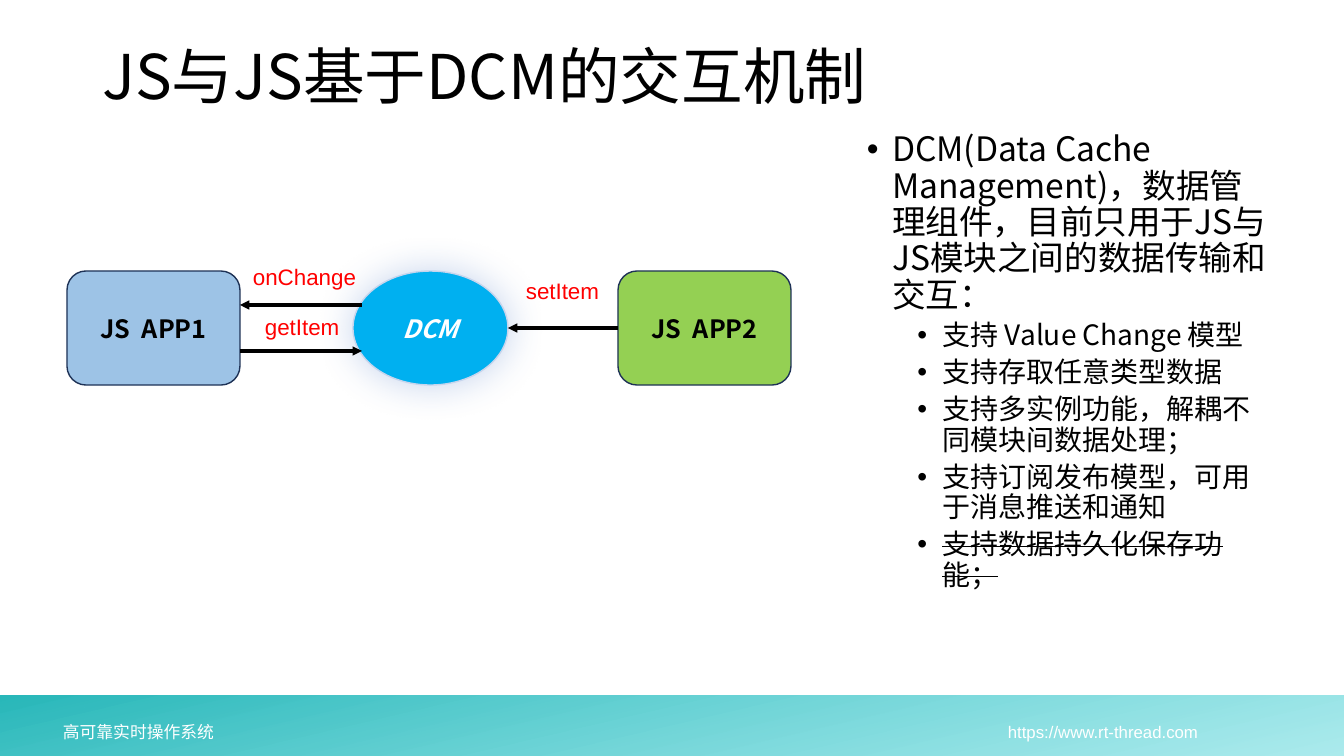
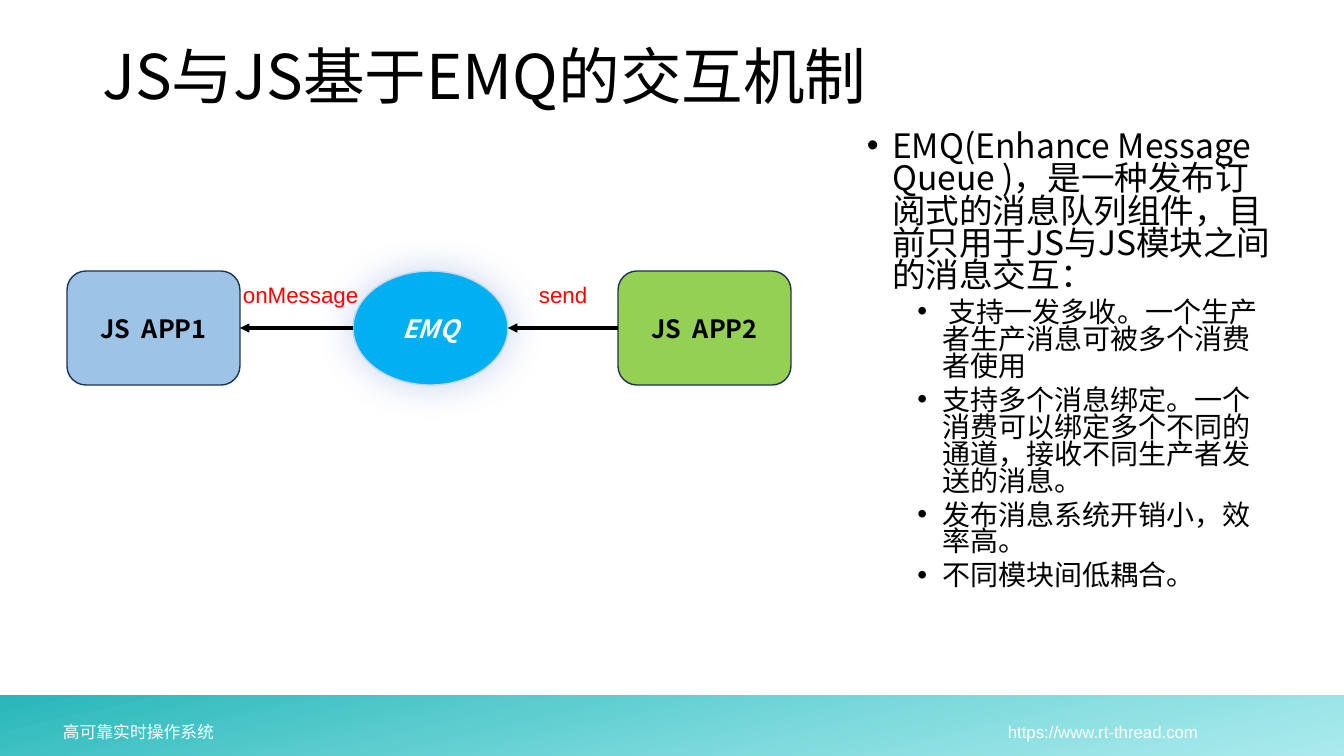
from lxml.etree import SubElement
from pptx import Presentation
from pptx.dml.color import RGBColor
from pptx.enum.shapes import MSO_CONNECTOR, MSO_SHAPE
from pptx.enum.text import MSO_ANCHOR, MSO_AUTO_SIZE, PP_ALIGN
from pptx.oxml.ns import qn
from pptx.util import Emu, Pt

CJK = "Noto Sans CJK SC"
LATIN = "Arial"
BLACK, WHITE, RED = "000000", "FFFFFF", "FF0000"
NAVY, PALE_BLUE = "1E3256", "C7D5ED"
NODE_TOP, NODE_HEIGHT = 271, 114
MIDDLE = NODE_TOP + NODE_HEIGHT // 2
APP1_RIGHT, BROKER_LEFT, BROKER_RIGHT, APP2_LEFT = 240, 353, 508, 618
color = RGBColor.from_string


def px(length):
    return Emu(round(length * 914400 / 100.8))


def write(paragraph, text, size, font=CJK, ink=BLACK, bold=False, italic=False,
          strike=False, align=PP_ALIGN.LEFT, line_spacing=None, before=0, after=0):
    paragraph.alignment = align
    paragraph.line_spacing = line_spacing
    paragraph.space_before = Pt(before)
    paragraph.space_after = Pt(after)
    run = paragraph.add_run()
    run.text = text
    run.font.size = Pt(size)
    run.font.name = font
    run.font.bold = bold
    run.font.italic = italic
    run.font.color.rgb = color(ink)
    properties = run._r.get_or_add_rPr()
    SubElement(properties, qn("a:ea"), typeface=CJK)
    if strike:
        properties.set("strike", "sngStrike")


# Nodes: shape, left, width, fill, line, ink
NODES = {
    "broker": (MSO_SHAPE.OVAL, BROKER_LEFT, 155, "00B0F0", PALE_BLUE, WHITE),
    "JS  APP1": (MSO_SHAPE.ROUNDED_RECTANGLE, 67, 173, "9DC3E6", NAVY, BLACK),
    "JS  APP2": (MSO_SHAPE.ROUNDED_RECTANGLE, APP2_LEFT, 173, "92D050", NAVY, BLACK),
}
FOOTERS = [("高可靠实时操作系统", 53), ("https://www.rt-thread.com", 998)]

# Arrows: start x, end x, y; labels: text, left, top
SLIDES = [
    {
        "broker": "DCM",
        "spacing": 0.9,
        "intro": "DCM(Data Cache Management)，数据管理组件，目前只用于JS与JS模块之间的数据传输和交互：",
        "points": [
            "支持 Value Change 模型",
            "支持存取任意类型数据",
            "支持多实例功能，解耦不同模块间数据处理；",
            "支持订阅发布模型，可用于消息推送和通知",
            "支持数据持久化保存功能；",
        ],
        "struck": ["支持数据持久化保存功能；"],
        "arrows": [(362, APP1_RIGHT, 305), (APP2_LEFT, BROKER_RIGHT, MIDDLE),
                   (APP1_RIGHT, 362, 351)],
        "labels": [("setItem", 516, 272), ("onChange", 243, 258), ("getItem", 255, 308)],
    },
    {
        "broker": "EMQ",
        "spacing": 0.8,
        "intro": "EMQ(Enhance Message Queue )，是一种发布订阅式的消息队列组件，目前只用于JS与JS模块之间的消息交互：",
        "points": [
            " 支持一发多收。一个生产者生产消息可被多个消费者使用",
            "支持多个消息绑定。一个消费可以绑定多个不同的通道，接收不同生产者发送的消息。",
            "发布消息系统开销小，效率高。",
            "不同模块间低耦合。",
        ],
        "struck": [],
        "arrows": [(BROKER_LEFT, APP1_RIGHT, MIDDLE), (APP2_LEFT, BROKER_RIGHT, MIDDLE)],
        "labels": [("send", 529, 276), ("onMessage", 233, 276)],
    },
]

presentation = Presentation()
presentation.slide_width, presentation.slide_height = px(1344), px(756)
title_only = presentation.slide_layouts[5]

for content in SLIDES:
    slide = presentation.slides.add_slide(title_only)
    shapes = slide.shapes

    # Title
    title = shapes.title
    title.left, title.top, title.width, title.height = px(92), px(40), px(1159), px(80)
    title.text_frame.auto_size = MSO_AUTO_SIZE.NONE
    title.text_frame.vertical_anchor = MSO_ANCHOR.MIDDLE
    write(title.text_frame.paragraphs[0], f"JS与JS基于{content['broker']}的交互机制",
          44, line_spacing=0.9)

    # Bulleted description
    body = shapes.add_textbox(px(857), px(128), px(427), px(497)).text_frame
    body.word_wrap = True
    for index, text in enumerate([content["intro"], *content["points"]]):
        paragraph = body.add_paragraph() if index else body.paragraphs[0]
        paragraph.level = 1 if index else 0
        properties = paragraph._p.get_or_add_pPr()
        properties.set("marL", str(Pt(54 if index else 18)))
        properties.set("indent", str(-Pt(18)))
        properties.set("hangingPunct", "0")
        SubElement(properties, qn("a:buFont"), typeface=LATIN)
        SubElement(properties, qn("a:buChar"), char="•")
        write(paragraph, text, 20 if index else 24, strike=text in content["struck"],
              line_spacing=content["spacing"], before=5 if index else 0)

    # Footer band
    band = shapes.add_shape(MSO_SHAPE.RECTANGLE, 0, px(696), px(1344), px(60))
    band.shadow.inherit = False
    band.line.fill.background()
    band.fill.gradient()
    band.fill.gradient_angle = 103
    light, dark = band.fill.gradient_stops
    light.position, dark.position = 0, 1
    light.color.rgb, dark.color.rgb = color("4FD4D9"), color("28B8BA")
    light_color = next(band._element.spPr.iter(qn("a:srgbClr")))
    SubElement(light_color, qn("a:alpha"), val="47000")
    for text, left in FOOTERS:
        footer = shapes.add_textbox(px(left), px(712), px(237), px(33)).text_frame
        footer.word_wrap = True
        write(footer.paragraphs[0], text, 12, font=LATIN, ink=WHITE,
              align=PP_ALIGN.JUSTIFY, line_spacing=Pt(18), after=4)

    # Application and broker nodes
    nodes = {}
    for name, (kind, left, width, fill, line, ink) in NODES.items():
        is_broker = name == "broker"
        node = shapes.add_shape(kind, px(left), px(NODE_TOP), px(width), px(NODE_HEIGHT))
        node.shadow.inherit = False
        node.fill.solid()
        node.fill.fore_color.rgb = color(fill)
        node.line.color.rgb = color(line)
        node.line.width = Pt(1)
        node.text_frame.vertical_anchor = MSO_ANCHOR.MIDDLE
        write(node.text_frame.paragraphs[0], content["broker"] if is_broker else name, 18,
              ink=ink, bold=True, italic=is_broker, align=PP_ALIGN.CENTER)
        nodes[name] = node

    # Soft halo around the broker, slight transparency on the second application
    effects = nodes["broker"]._element.spPr.find(qn("a:effectLst"))
    halo = SubElement(effects, qn("a:outerShdw"), blurRad=str(Pt(27)), dist="0", dir="0",
                      algn="ctr", rotWithShape="0")
    halo_color = SubElement(halo, qn("a:srgbClr"), val="4472C4")
    SubElement(halo_color, qn("a:alpha"), val="30000")
    green = next(nodes["JS  APP2"]._element.spPr.iter(qn("a:srgbClr")))
    SubElement(green, qn("a:alpha"), val="98000")

    # Arrows
    for start, end, y in content["arrows"]:
        arrow = shapes.add_connector(MSO_CONNECTOR.STRAIGHT, px(start), px(y), px(end), px(y))
        arrow.line.color.rgb = color(BLACK)
        arrow.line.width = Pt(2.25)
        SubElement(arrow.line._get_or_add_ln(), qn("a:tailEnd"), type="triangle")
        SubElement(arrow._element.spPr, qn("a:effectLst"))
        if y == MIDDLE and start == APP2_LEFT:
            arrow.begin_connect(nodes["JS  APP2"], 1)
        elif y == MIDDLE:
            arrow.end_connect(nodes["JS  APP1"], 3)

    # Arrow labels
    for text, left, top in content["labels"]:
        label = shapes.add_textbox(px(left), px(top), px(155), px(37)).text_frame
        label.word_wrap = True
        write(label.paragraphs[0], text, 16, font=LATIN, ink=RED)

presentation.save("out.pptx")
